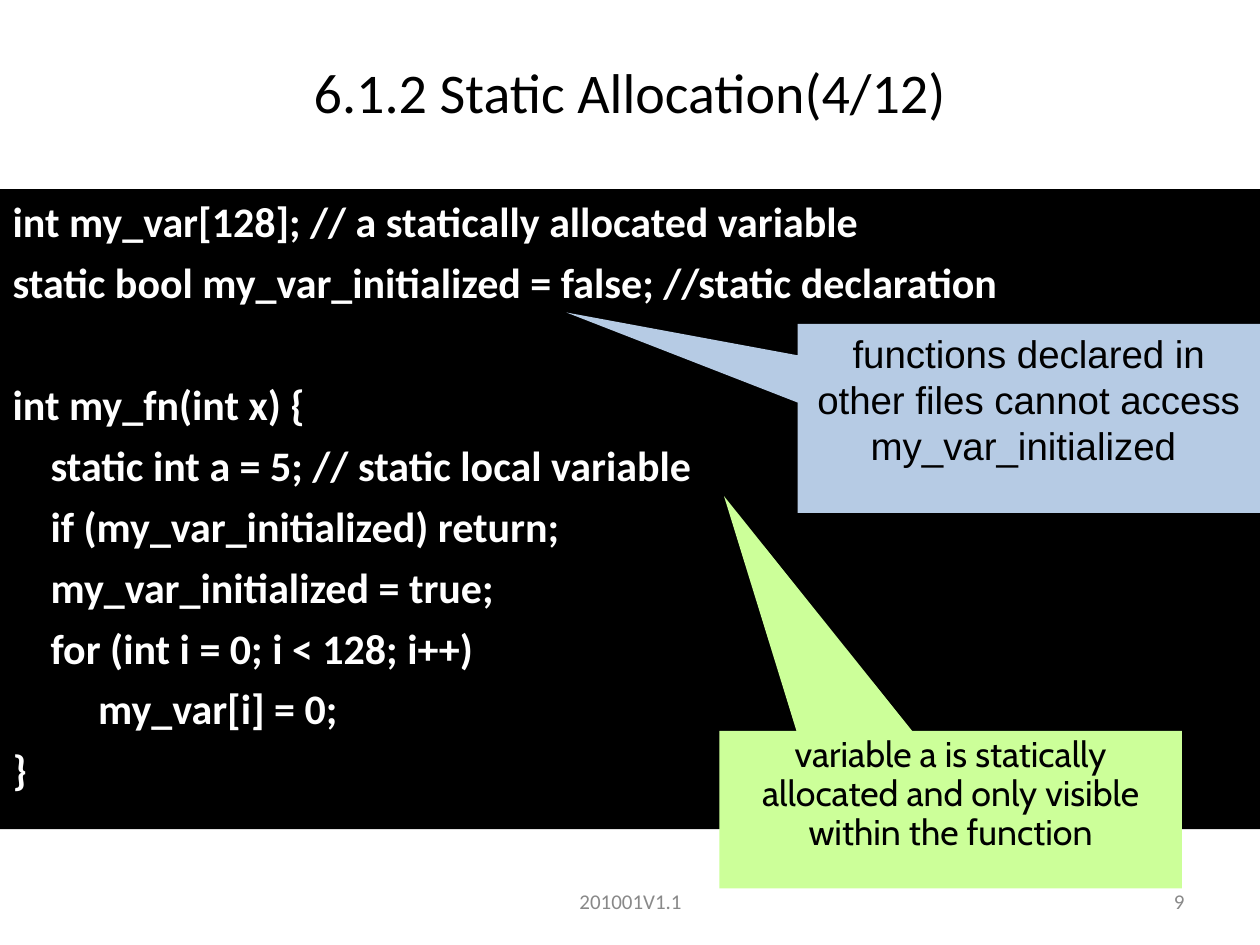
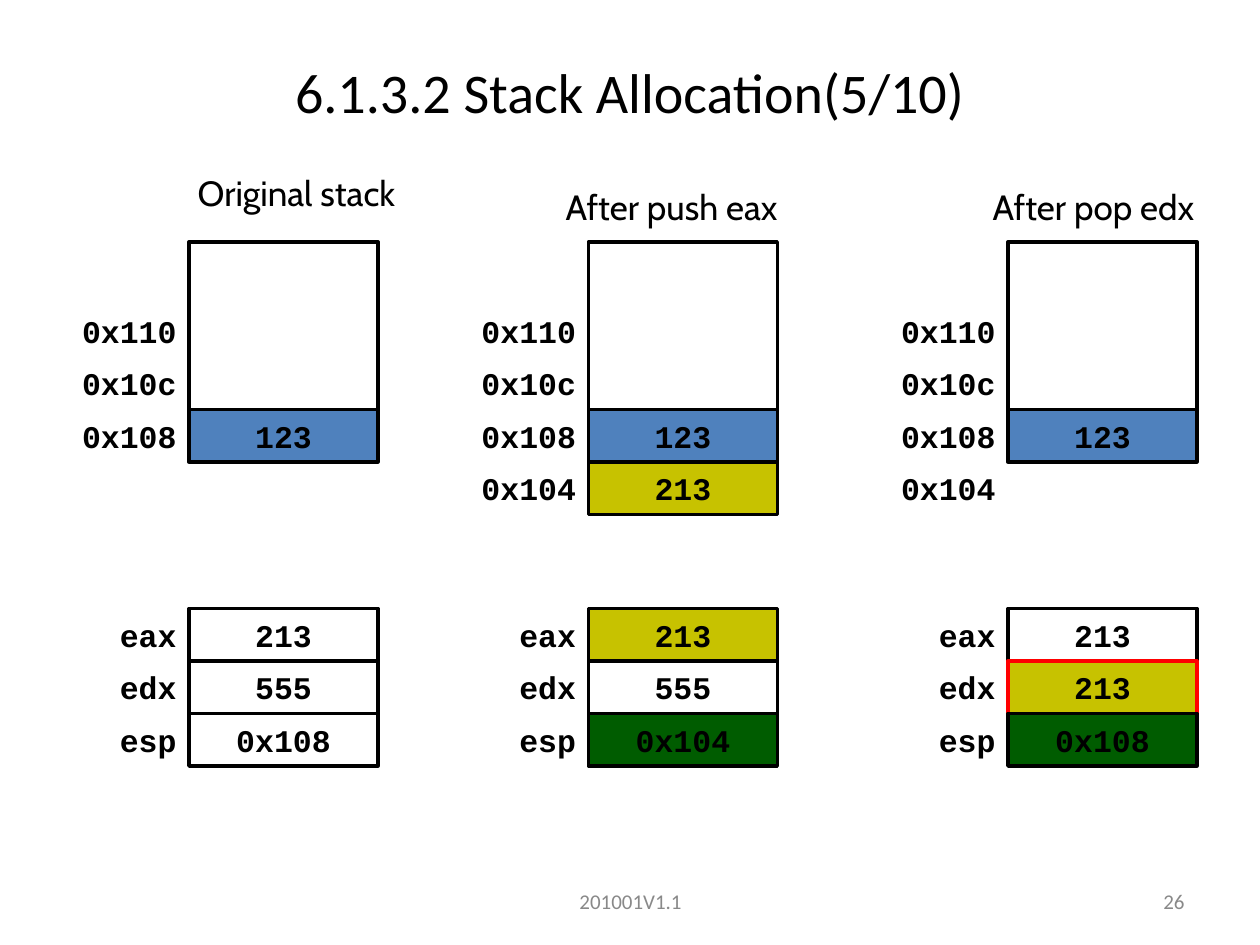
from lxml import etree
from pptx import Presentation
from pptx.dml.color import RGBColor
from pptx.enum.shapes import MSO_SHAPE
from pptx.enum.text import MSO_ANCHOR, MSO_AUTO_SIZE, PP_ALIGN
from pptx.oxml.ns import qn
from pptx.util import Inches, Pt

RECT, CALL = MSO_SHAPE.RECTANGLE, MSO_SHAPE.RECTANGULAR_CALLOUT
TOP, MID = MSO_ANCHOR.TOP, MSO_ANCHOR.MIDDLE
LEFT, CENTER, RIGHT = PP_ALIGN.LEFT, PP_ALIGN.CENTER, PP_ALIGN.RIGHT
FIXED = MSO_AUTO_SIZE.NONE

# Theme: colours and type styles
THEME = {
    "black": "000000", "white": "FFFFFF", "grey": "898989", "red": "FF0000",
    "sky": "B6CBE4", "lime": "CCFF99",
    "blue": "4F81BD", "gold": "C7C200", "green": "005C00",
    "title": {"name": "Calibri", "size": Pt(32), "bold": False},
    "code": {"name": "Calibri", "size": Pt(24), "bold": True},
    "foot": {"name": "Calibri", "size": Pt(12), "bold": False},
    "head": {"name": "Cabin", "size": Pt(20), "bold": False},
    "cell": {"name": "Courier New", "size": Pt(18), "bold": True},
    "scope": {"name": "Arial", "size": Pt(22), "bold": False},
    "local": {"name": "Cabin", "size": Pt(20.4), "bold": False},
}


def write(shape, text, style, ink="black", align=CENTER, anchor=MID):
    """Fill a shape with text, one paragraph a line."""
    frame = shape.text_frame
    form = {"word_wrap": True, "auto_size": FIXED, "vertical_anchor": anchor}
    for name, value in form.items():
        setattr(frame, name, value)
    for i, line in enumerate(text.split("\n")):
        para = frame.add_paragraph() if i else frame.paragraphs[0]
        para.alignment = align
        run = para.add_run()
        run.text = line
        for name, value in THEME[style].items():
            setattr(run.font, name, value)
        run.font.color.rgb = RGBColor.from_string(THEME[ink])


def block(slide, kind, at, fill=None, line=None):
    """Add a flat shape with an optional fill and outline."""
    shape = slide.shapes.add_shape(kind, *map(Inches, at))
    shape.shadow.inherit = False
    if fill:
        shape.fill.solid()
        shape.fill.fore_color.rgb = RGBColor.from_string(THEME[fill])
    else:
        shape.fill.background()
    if line:
        shape.line.color.rgb = RGBColor.from_string(THEME[line])
        shape.line.width = Pt(2)
    else:
        shape.line.fill.background()
    return shape


deck = Presentation()
deck.slide_width, deck.slide_height = Inches(10), Inches(7.5)

# Slides with the shared title and footers
pages = []
for layout, title, number in [
    (1, "6.1.2 Static Allocation(4/12)", "9"),
    (5, "6.1.3.2 Stack Allocation(5/10)", "26"),
]:
    page = deck.slides.add_slide(deck.slide_layouts[layout])
    head = page.shapes.title
    head.left, head.top, head.width, head.height = map(Inches, (0, 0.3, 10, 0.85))
    write(head, title, "title")
    for left, width, text, align in [
        (3.42, 3.17, "201001V1.1", CENTER),
        (7.17, 2.33, number, RIGHT),
    ]:
        foot = page.shapes.add_textbox(*map(Inches, (left, 6.95, width, 0.4)))
        write(foot, text, "foot", "grey", align)
    pages.append(page)
static, stack = pages

# Static allocation: code panel
CODE = """int my_var[128]; // a statically allocated variable
static bool my_var_initialized = false; //static declaration
int my_fn(int x) {
    static int a = 5; // static local variable
    if (my_var_initialized) return;
    my_var_initialized = true;
    for (int i = 0; i < 128; i++)
         my_var[i] = 0;
}"""
panel = static.placeholders[1]
panel.left, panel.top, panel.width, panel.height = map(Inches, (0, 1.5, 10, 5.08))
panel.fill.solid()
panel.fill.fore_color.rgb = RGBColor.from_string(THEME["black"])
write(panel, CODE, "code", "white", LEFT, TOP)
for i, para in enumerate(panel.text_frame.paragraphs):
    gap = 41 if para.text.startswith("int my_fn") else 6
    para.space_before = Pt(gap if i else 0)
    props = para._p.get_or_add_pPr()
    props.set("marL", str(Inches(0.38)))
    props.set("indent", str(-Inches(0.38)))
    etree.SubElement(props, qn("a:buNone"))

# Static allocation: callouts
for at, tip, fill, style, space, text in [
    ((6.33, 2.57, 3.67, 1.5), (-1, -0.56), "sky", "scope", 1,
     "functions declared in other files cannot access my_var_initialized "),
    ((5.71, 5.8, 3.67, 1.25), (-0.49, -1.99), "lime", "local", 0.9,
     "variable a is statically allocated and only visible within the function"),
]:
    note = block(static, CALL, at, fill)
    note.adjustments[0], note.adjustments[1] = tip
    write(note, text, style, anchor=TOP)
    note.text_frame.paragraphs[0].line_spacing = space

# Stack allocation: each column has a stack above and registers below
ROW = 5 / 12
WIDE = 1.5
BASE = 3.25  # top of the row at 0x108
REGS = 4.83  # top of the first register
ADDRS = ["0x110", "0x10c", "0x108", "0x104"]
NAMES = ["eax", "edx", "esp"]
COLS = [
    # left, label width, heading place, heading, addresses, stack, registers
    (1.5, 1, (1.47, 1.31, 2, 0.44), "Original stack", 3,
     [("123", "blue")],
     [("213", "white"), ("555", "white"), ("0x108", "white")]),
    (4.67, 1.5, (4.39, 1.42, 2.1, 0.44), "After push eax", 4,
     [("123", "blue"), ("213", "gold")],
     [("213", "gold"), ("555", "white"), ("0x104", "green")]),
    (8, 1.5, (7.78, 1.42, 1.97, 0.44), "After pop edx", 4,
     [("123", "blue")],
     [("213", "white"), ("213", "gold", "red"), ("0x108", "green")]),
]
for left, room, place, title, count, items, regs in COLS:
    head = stack.shapes.add_textbox(*map(Inches, place))
    write(head, title, "head", align=LEFT, anchor=TOP)

    # Row labels
    for top, names in [(BASE - 2 * ROW, ADDRS[:count]), (REGS, NAMES)]:
        for i, name in enumerate(names):
            label = block(stack, RECT, (left - room, top + i * ROW, room, ROW), "white")
            write(label, name, "cell", align=RIGHT)

    # Free space and value cells
    block(stack, RECT, (left, 1.92, WIDE, 1.33), line="black")
    for top, cells in [(BASE, items), (REGS, regs)]:
        for i, (value, fill, *edge) in enumerate(cells):
            line = edge[0] if edge else "black"
            cell = block(stack, RECT, (left, top + i * ROW, WIDE, ROW), fill, line)
            write(cell, value, "cell")

deck.save("out.pptx")
